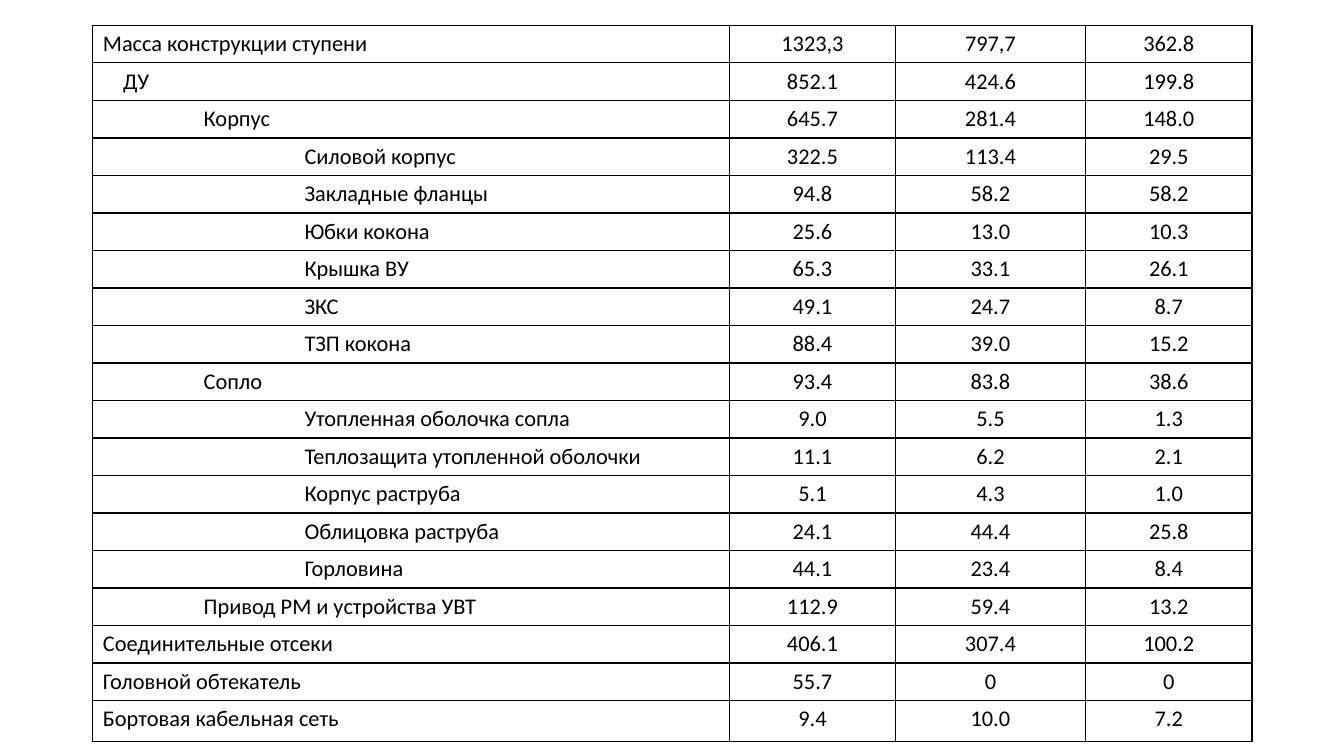
from typing import NamedTuple

from lxml import etree
from pptx import Presentation
from pptx.dml.color import RGBColor
from pptx.enum.text import PP_ALIGN
from pptx.oxml.ns import qn
from pptx.util import Cm, Pt

LEFT, CENTER = PP_ALIGN.LEFT, PP_ALIGN.CENTER
BLANK_LAYOUT = 6
BLACK = "000000"
FONT_NAME = "Calibri"
FONT_SIZE = Pt(16)
BORDER_WIDTH = Pt(1)

TABLE_LEFT, TABLE_TOP = Cm(2.34), Cm(0.64)
COLUMN_WIDTHS = [Cm(16.05), Cm(4.17), Cm(4.8), Cm(4.19)]
ROW_HEIGHT, LAST_ROW_HEIGHT = Cm(0.94), Cm(1.04)
LEVEL_INDENTS = [Cm(0), Cm(0.51), Cm(2.54), Cm(5.08)]


class MassRow(NamedTuple):
    level: int
    name: str
    stage_masses: tuple[str, str, str]


MASS_ROWS = [
    MassRow(0, "Масса конструкции ступени", ("1323,3", "797,7", "362.8")),
    MassRow(1, "ДУ", ("852.1", "424.6", "199.8")),
    MassRow(2, "Корпус", ("645.7", "281.4", "148.0")),
    MassRow(3, "Силовой корпус", ("322.5", "113.4", "29.5")),
    MassRow(3, "Закладные фланцы", ("94.8", "58.2", "58.2")),
    MassRow(3, "Юбки кокона", ("25.6", "13.0", "10.3")),
    MassRow(3, "Крышка ВУ", ("65.3", "33.1", "26.1")),
    MassRow(3, "ЗКС", ("49.1", "24.7", "8.7")),
    MassRow(3, "ТЗП кокона", ("88.4", "39.0", "15.2")),
    MassRow(2, "Сопло", ("93.4", "83.8", "38.6")),
    MassRow(3, "Утопленная оболочка сопла", ("9.0", "5.5", "1.3")),
    MassRow(3, "Теплозащита утопленной оболочки", ("11.1", "6.2", "2.1")),
    MassRow(3, "Корпус раструба", ("5.1", "4.3", "1.0")),
    MassRow(3, "Облицовка раструба", ("24.1", "44.4", "25.8")),
    MassRow(3, "Горловина", ("44.1", "23.4", "8.4")),
    MassRow(2, "Привод РМ и устройства УВТ", ("112.9", "59.4", "13.2")),
    MassRow(0, "Соединительные отсеки", ("406.1", "307.4", "100.2")),
    MassRow(0, "Головной обтекатель", ("55.7", "0", "0")),
    MassRow(0, "Бортовая кабельная сеть", ("9.4", "10.0", "7.2")),
]


def color(hex_value: str) -> RGBColor:
    return RGBColor.from_string(hex_value)


def add_cell_borders(cell) -> None:
    properties = cell._tc.get_or_add_tcPr()
    for side in ("a:lnL", "a:lnR", "a:lnT", "a:lnB"):
        line = etree.SubElement(properties, qn(side), w=str(BORDER_WIDTH))
        fill = etree.SubElement(line, qn("a:solidFill"))
        etree.SubElement(fill, qn("a:srgbClr"), val=BLACK)


def write_cell(cell, text: str, alignment: PP_ALIGN, indent: int = 0) -> None:
    add_cell_borders(cell)
    cell.fill.background()
    paragraph = cell.text_frame.paragraphs[0]
    paragraph.alignment = alignment
    if indent:
        paragraph._p.get_or_add_pPr().set("marL", str(indent))
    run = paragraph.add_run()
    run.text = text
    run.font.name = FONT_NAME
    run.font.size = FONT_SIZE
    run.font.color.rgb = color(BLACK)


def add_mass_table(slide) -> None:
    height = ROW_HEIGHT * (len(MASS_ROWS) - 1) + LAST_ROW_HEIGHT
    table = slide.shapes.add_table(
        len(MASS_ROWS), len(COLUMN_WIDTHS),
        TABLE_LEFT, TABLE_TOP, sum(COLUMN_WIDTHS), height,
    ).table
    table.first_row = False
    table.horz_banding = False
    for column, width in zip(table.columns, COLUMN_WIDTHS):
        column.width = width
    for row, mass_row in zip(table.rows, MASS_ROWS):
        row.height = ROW_HEIGHT
        name_cell, *mass_cells = row.cells
        write_cell(name_cell, mass_row.name, LEFT, LEVEL_INDENTS[mass_row.level])
        for cell, mass in zip(mass_cells, mass_row.stage_masses):
            write_cell(cell, mass, CENTER)
    table.rows[len(MASS_ROWS) - 1].height = LAST_ROW_HEIGHT


def main() -> None:
    presentation = Presentation()
    presentation.slide_width = Cm(33.87)
    presentation.slide_height = Cm(19.05)
    slide = presentation.slides.add_slide(presentation.slide_layouts[BLANK_LAYOUT])
    add_mass_table(slide)
    presentation.save("out.pptx")


if __name__ == "__main__":
    main()
